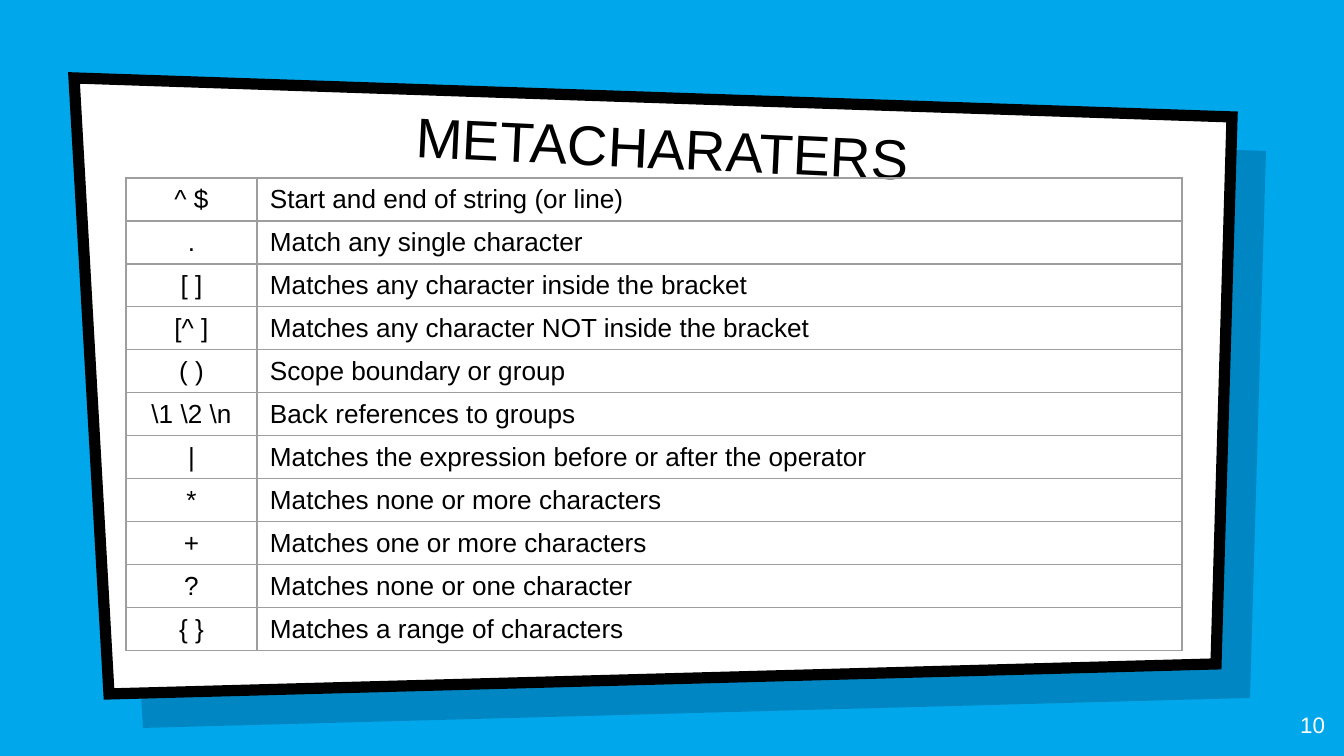
from lxml.etree import SubElement
from pptx import Presentation
from pptx.dml.color import RGBColor
from pptx.enum.text import MSO_ANCHOR as Anchor, PP_ALIGN as Align
from pptx.oxml import parse_xml
from pptx.oxml.ns import nsdecls, qn
from pptx.util import Pt

PX = 914400 / 134.4
BLUE = RGBColor(0x00, 0xA7, 0xEB)
NAVY = RGBColor(0x00, 0x19, 0x36)
WHITE = RGBColor(0xFF, 0xFF, 0xFF)
BLACK = RGBColor(0x00, 0x00, 0x00)
GREY = RGBColor(0x9E, 0x9E, 0x9E)
CORNERS = [(74, 78), (1232, 117), (1216, 664), (109, 694)]
ROWS = [
    ("^ $", "Start and end of string (or line)"),
    (".", "Match any single character"),
    ("[ ]", "Matches any character inside the bracket"),
    ("[^ ]", "Matches any character NOT inside the bracket"),
    ("( )", "Scope boundary or group"),
    ("\\1 \\2 \\n", "Back references to groups"),
    ("|", "Matches the expression before or after the operator"),
    ("*", "Matches none or more characters"),
    ("+", "Matches one or more characters"),
    ("?", "Matches none or one character"),
    ("{ }", "Matches a range of characters"),
]


def px(*lengths):
    return [round(length * PX) for length in lengths]


def write(frame, text, align, size, color):
    para = frame.paragraphs[0]
    para.alignment = align
    span = para.add_run()
    span.text = text
    for name, value in {"name": "Arial", "size": Pt(size), "bold": False}.items():
        setattr(span.font, name, value)
    span.font.color.rgb = color


deck = Presentation()
deck.slide_width, deck.slide_height = px(1344, 756)
page = deck.slides.add_slide(deck.slide_layouts[5])
page.background.fill.solid()
page.background.fill.fore_color.rgb = BLUE

panels = []
for offset, color in ((34, NAVY), (0, WHITE)):
    points = [(x + offset, y + offset) for x, y in CORNERS]
    builder = page.shapes.build_freeform(*points[0], scale=PX)
    builder.add_line_segments(points[1:], close=True)
    panel = builder.convert_to_shape()
    panel.shadow.inherit = False
    panel.fill.solid()
    panel.fill.fore_color.rgb = color
    panels.append(panel)

shade, board = panels
shade.line.fill.background()
shade_color = shade.element.spPr.find(qn("a:solidFill")).find(qn("a:srgbClr"))
SubElement(shade_color, qn("a:alpha"), val="22000")
board.line.color.rgb = BLACK
board.line.width = Pt(6)
SubElement(board.element.spPr.find(qn("a:ln")), qn("a:miter"), lim="800000")

title = page.shapes.title
page.shapes.element.append(title.element)
number = page.shapes.add_textbox(*px(1258, 698, 80, 58))
boxes = (
    (title, (146, 81, 1034, 112), 2.7, Anchor.BOTTOM, "METACHARATERS", Align.CENTER, 30, BLACK),
    (number, (1258, 698, 80, 58), 0, Anchor.TOP, "10", Align.RIGHT, 12, WHITE),
)
for box, place, turn, anchor, text, align, size, color in boxes:
    box.left, box.top, box.width, box.height = px(*place)
    box.rotation = turn
    frame = box.text_frame
    frame.word_wrap = True
    frame.vertical_anchor = anchor
    for side in ("left", "top", "right", "bottom"):
        setattr(frame, f"margin_{side}", px(13)[0])
    write(frame, text, align, size, color)

table = page.shapes.add_table(len(ROWS), 2, *px(126, 178, 1056, 473)).table
table.first_row = False
table.horz_banding = False
for column, width in zip(table.columns, px(131, 925)):
    column.width = width
cell_format = dict(zip(
    ("margin_left", "margin_right", "margin_top", "margin_bottom"), px(13, 13, 3, 3)))
cell_format["vertical_anchor"] = Anchor.MIDDLE
for row, texts in zip(table.rows, ROWS):
    row.height = px(43)[0]
    for cell, text, align in zip(row.cells, texts, (Align.CENTER, Align.LEFT)):
        for name, value in cell_format.items():
            setattr(cell, name, value)
        cell.fill.background()
        write(cell.text_frame, text, align, 14, BLACK)
        properties = cell._tc.get_or_add_tcPr()
        for index, side in enumerate("LRTB"):
            properties.insert(index, parse_xml(
                f'<a:ln{side} {nsdecls("a")} w="{Pt(0.75)}"><a:solidFill>'
                f'<a:srgbClr val="{GREY}"/></a:solidFill></a:ln{side}>'))

deck.save("out.pptx")
